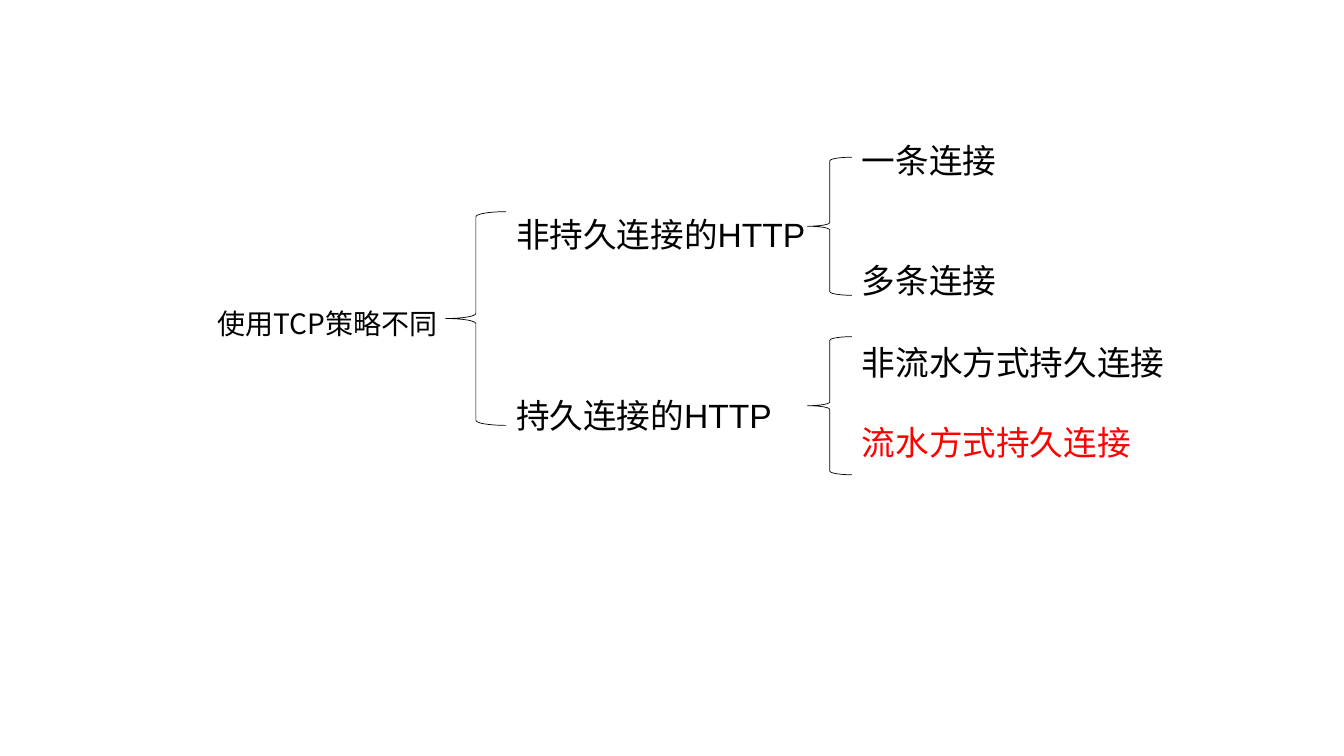
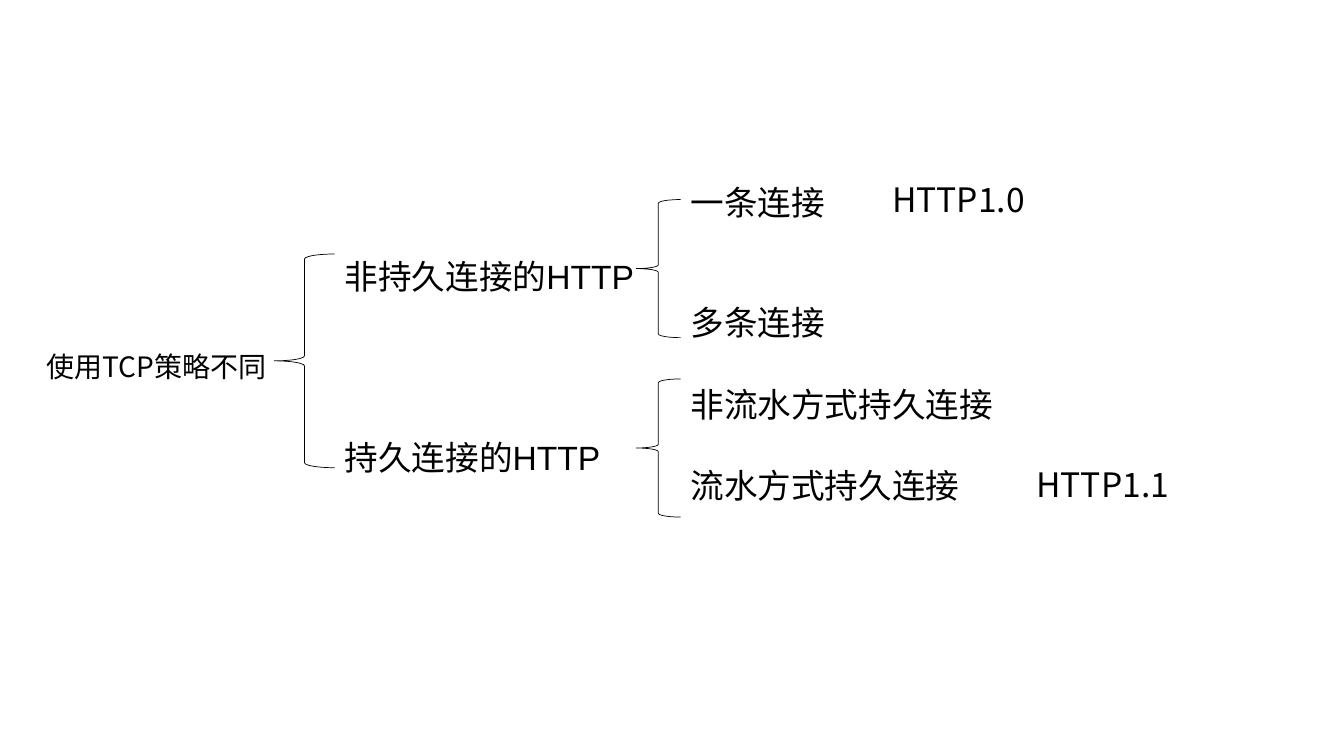
from lxml import etree
from pptx import Presentation, util as u
from pptx.dml.color import RGBColor
from pptx.enum import shapes, text
from pptx.oxml import ns

EMU_PER_PX = 9144
BLACK = RGBColor(0, 0, 0)
RED = RGBColor(255, 0, 0)
SANS = "Noto Sans CJK SC"
LATIN = "Arial"


def px(length):
    """Turn px into EMU."""
    return u.Emu(length * EMU_PER_PX)


class BraceDeck:
    """Hold the style and the current slide of a deck of brace diagrams."""

    def __init__(self, width, height):
        """Start an empty deck of the given size."""
        self.deck = Presentation()
        self.deck.slide_width, self.deck.slide_height = px(width), px(height)

    def start_slide(self, dx, dy):
        """Add a blank slide whose elements are shifted by dx and dy."""
        self.slide = self.deck.slides.add_slide(self.deck.slide_layouts[6])
        self.dx, self.dy = dx, dy

    def frame(self, left, top, width, height):
        """Return a shifted box in EMU."""
        return px(left + self.dx), px(top + self.dy), px(width), px(height)

    def label(self, wording, left, top, width=343, size=24, font=SANS,
              color=BLACK, spacing=1.0):
        """Add a one-line label."""
        box = self.slide.shapes.add_textbox(*self.frame(left, top, width, 50))
        box.text_frame.word_wrap = True
        box.text_frame.auto_size = text.MSO_AUTO_SIZE.SHAPE_TO_FIT_TEXT
        line = box.text_frame.paragraphs[0]
        line.line_spacing = spacing
        run = line.add_run()
        run.text = wording
        run.font.size = u.Pt(size)
        run.font.name = font
        run.font.color.rgb = color
        run.font.language_id = None
        east_asian = etree.SubElement(run.font._element, ns.qn("a:ea"))
        east_asian.set("typeface", SANS)

    def brace(self, left, top, width, height):
        """Add a thin left brace."""
        brace = self.slide.shapes.add_shape(
            shapes.MSO_SHAPE.LEFT_BRACE, *self.frame(left, top, width, height))
        brace.shadow.inherit = False
        brace.fill.background()
        brace.line.color.rgb = BLACK
        brace.line.width = u.Pt(0.5)

    def connection_tree(self, pipelining_color=BLACK):
        """Draw the tree of HTTP connection strategies."""
        self.label("使用TCP策略不同", 206, 283, width=254, size=20, spacing=1.5)
        self.brace(442, 210, 60, 212)
        for strategy, top in (("非持久连接的HTTP", 187), ("持久连接的HTTP", 367)):
            self.label(strategy, 502, top, font=LATIN, spacing=1.5)
        for top in (156, 334):
            self.brace(801, top, 44, 137)
        for count, top in (("一条连接", 114), ("多条连接", 233)):
            self.label(count, 845, top, font=LATIN, spacing=1.5)
        self.label("非流水方式持久连接", 845, 334)
        self.label("流水方式持久连接", 845, 414, color=pipelining_color)

    def version(self, wording, left, top):
        """Add the protocol version beside a branch."""
        self.label(wording, left, top, width=159)


def main():
    """Build the deck."""
    deck = BraceDeck(1333, 750)
    deck.start_slide(0, 0)
    deck.connection_tree(pipelining_color=RED)
    deck.start_slide(-170, 42)
    deck.connection_tree()
    deck.version("HTTP1.0", 1045, 131)
    deck.version("HTTP1.1", 1188, 413)
    deck.deck.save("out.pptx")


if __name__ == "__main__":
    main()
